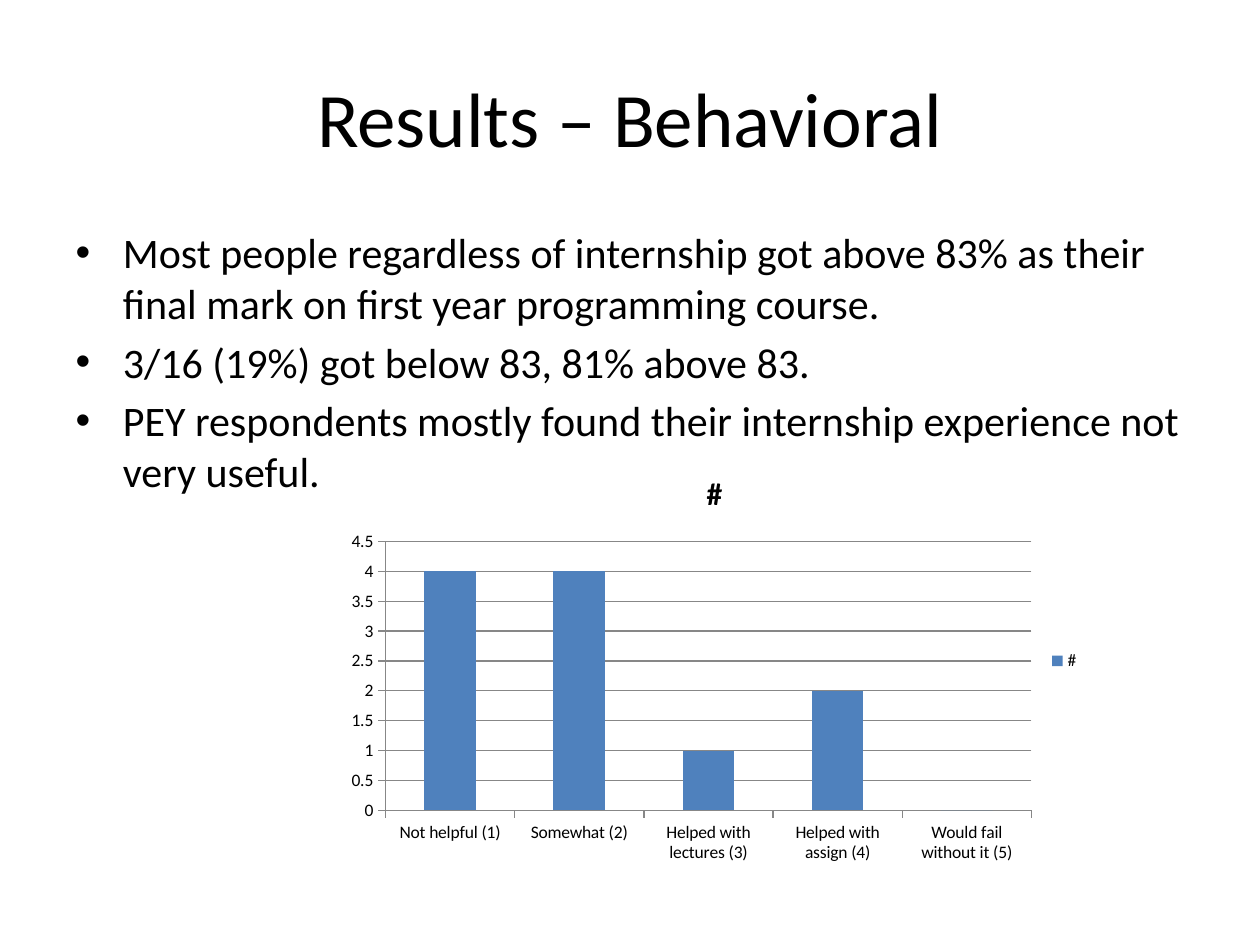
from pptx import Presentation
from pptx.chart.data import CategoryChartData
from pptx.dml.color import RGBColor
from pptx.enum.chart import XL_CHART_TYPE, XL_LEGEND_POSITION, XL_TICK_MARK
from pptx.enum.text import MSO_ANCHOR, PP_ALIGN
from pptx.util import Inches, Pt


def color(hex_value):
    return RGBColor.from_string(hex_value)


def style(font, size, **extra):
    values = {"name": "Calibri", "size": Pt(size), **extra}
    for name, value in values.items():
        setattr(font, name, value)
    font.color.rgb = color("000000")


deck = Presentation()
deck.slide_width, deck.slide_height = Inches(10), Inches(7.5)
width, height = deck.slide_width, deck.slide_height
page = deck.slides.add_slide(deck.slide_layouts[1])
title, body = page.placeholders

# Title and list share the same side margins
margin = int(width * 0.05)
for box, top, share in ((title, 0.04, 1 / 6), (body, 0.7 / 3, 0.66)):
    place = {"left": margin, "top": int(height * top),
             "width": width - 2 * margin, "height": int(height * share)}
    for name, value in place.items():
        setattr(box, name, value)

# Title
title.text_frame.text = "Results – Behavioral"
title.text_frame.vertical_anchor = MSO_ANCHOR.MIDDLE
title.text_frame.paragraphs[0].alignment = PP_ALIGN.CENTER
style(title.text_frame.paragraphs[0].runs[0].font, 44)

# Findings
findings = [
    "Most people regardless of internship got above 83% as their final mark "
    "on first year programming course.",
    "3/16 (19%) got below 83, 81% above 83.",
    "PEY respondents mostly found their internship experience not very useful.",
]
body.text_frame.text = "\n".join(findings)
for para in body.text_frame.paragraphs:
    style(para.runs[0].font, 24)

# Usefulness ratings
ratings = CategoryChartData()
ratings.categories = ["Not helpful (1)", "Somewhat (2)",
                      "Helped with lectures (3)", "Helped with assign (4)",
                      "Would fail without it (5)"]
ratings.add_series("#", [4, 4, 1, 2, 0])
chart = page.shapes.add_chart(
    XL_CHART_TYPE.COLUMN_CLUSTERED, Inches(2.67), Inches(3.58),
    int(width * 0.6), Inches(3.33), ratings).chart
style(chart.font, 10)

chart.has_title = True
chart.chart_title.text_frame.text = "#"
style(chart.chart_title.text_frame.paragraphs[0].runs[0].font, 18, bold=True)
chart.chart_title.include_in_layout = False

chart.has_legend = True
chart.legend.position = XL_LEGEND_POSITION.RIGHT
chart.legend.include_in_layout = False

# Axes, gridlines and columns
chart.value_axis.has_major_gridlines = True
axes = (chart.category_axis, chart.value_axis)
for axis in axes:
    axis.major_tick_mark = XL_TICK_MARK.OUTSIDE
for line in [axis.format.line for axis in axes] + [
        chart.value_axis.major_gridlines.format.line]:
    line.color.rgb = color("878787")
    line.width = Pt(0.75)
scale = {"minimum_scale": 0, "maximum_scale": 4.5, "major_unit": 0.5}
for name, value in scale.items():
    setattr(chart.value_axis, name, value)

plot = chart.plots[0]
plot.gap_width = 150
plot.vary_by_categories = False
fill = plot.series[0].format.fill
fill.solid()
fill.fore_color.rgb = color("4F81BD")

deck.save("out.pptx")
